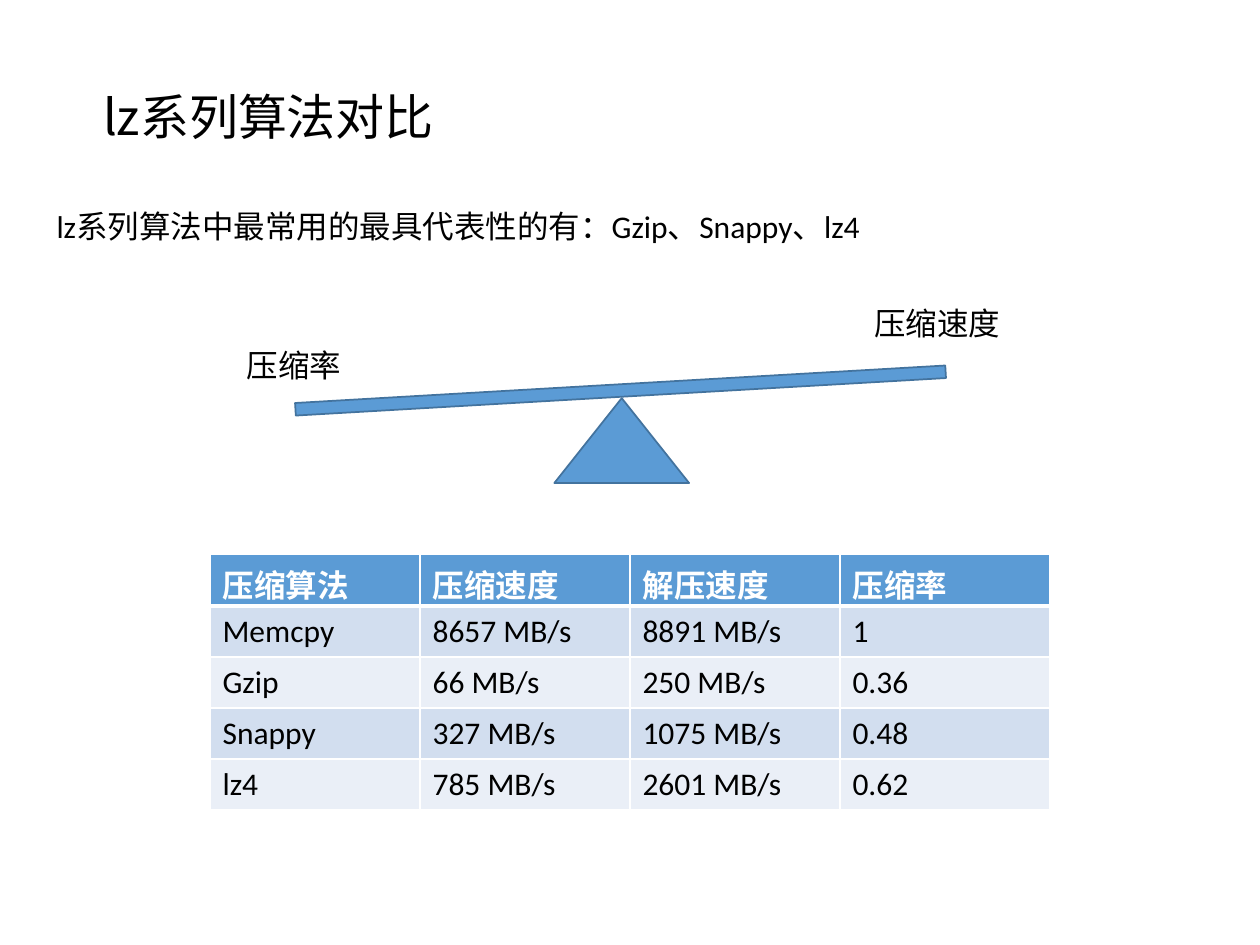
from lxml import etree
from pptx import Presentation
from pptx.dml.color import RGBColor
from pptx.enum import shapes, text
from pptx.oxml import ns
from pptx.util import Pt

COLORS = {"blue": "5B9BD5", "outline": "43739E", "band": "D2DEEF",
          "light": "EAEFF7", "white": "FFFFFF", "black": "000000"}
CJK_FONT = "Noto Sans CJK SC"


def add_span(para, words, size=18, font="Calibri", color="black", bold=False):
    span = para.add_run()
    span.text = words
    span.font.size = Pt(size)
    span.font.name = font
    span.font.bold = bold
    span.font.color.rgb = RGBColor.from_string(COLORS[color])
    latin = span.font._element.find(ns.qn("a:latin"))
    east_asian = etree.Element(ns.qn("a:ea"), typeface=CJK_FONT)
    latin.addnext(east_asian)


def add_border(cell, position, side, width):
    line = etree.Element(ns.qn(f"a:ln{side}"), w=str(Pt(width)))
    fill = etree.SubElement(line, ns.qn("a:solidFill"))
    etree.SubElement(fill, ns.qn("a:srgbClr"), val=COLORS["white"])
    cell._tc.get_or_add_tcPr().insert(position, line)


deck = Presentation()
deck.slide_width, deck.slide_height = Pt(720), Pt(540)
page = deck.slides.add_slide(deck.slide_layouts[6])

labels = [
    ("lz系列算法对比", 51.8, 46.1, 416.2, 41, 28, CJK_FONT),
    ("lz系列算法中最常用的最具代表性的有：Gzip、Snappy、lz4", 25.2, 114.5, 649.4, 29, 18, "Calibri"),
    ("压缩率", 133.9, 194.4, 69.8, 29, 18, "Calibri"),
    ("压缩速度", 492.5, 169.9, 97.2, 29, 18, "Calibri"),
]
for words, left, top, width, height, size, font in labels:
    box = page.shapes.add_textbox(Pt(left), Pt(top), Pt(width), Pt(height))
    box.text_frame.word_wrap = True
    box.text_frame.auto_size = text.MSO_AUTO_SIZE.SHAPE_TO_FIT_TEXT
    add_span(box.text_frame.paragraphs[0], words, size, font)

seesaw = [
    (shapes.MSO_SHAPE.ISOSCELES_TRIANGLE, 316.8, 227.5, 77, 48.5, 0),
    (shapes.MSO_SHAPE.RECTANGLE, 168.5, 219.6, 372.2, 7.2, 356.7),
]
for preset, left, top, width, height, angle in seesaw:
    part = page.shapes.add_shape(preset, Pt(left), Pt(top), Pt(width), Pt(height))
    part.rotation = angle
    part.shadow.inherit = False
    part.fill.solid()
    part.fill.fore_color.rgb = RGBColor.from_string(COLORS["blue"])
    part.line.color.rgb = RGBColor.from_string(COLORS["outline"])
    part.line.width = Pt(1)

rows = [
    ["压缩算法", "压缩速度", "解压速度", "压缩率"],
    ["Memcpy", "8657 MB/s", "8891 MB/s", "1"],
    ["Gzip", "66 MB/s", "250 MB/s", "0.36"],
    ["Snappy", "327 MB/s", "1075 MB/s", "0.48"],
    ["lz4", "785 MB/s", "2601 MB/s", "0.62"],
]
table = page.shapes.add_table(len(rows), len(rows[0]), Pt(120), Pt(317),
                              Pt(480), Pt(146)).table
for row_index, values in enumerate(rows):
    header = row_index == 0
    fill_name = "blue" if header else "band" if row_index % 2 else "light"
    widths = {"L": 1, "R": 1, "T": 3 if row_index == 1 else 1, "B": 3 if header else 1}
    for column_index, value in enumerate(values):
        cell = table.cell(row_index, column_index)
        cell.fill.solid()
        cell.fill.fore_color.rgb = RGBColor.from_string(COLORS[fill_name])
        for position, (side, width) in enumerate(widths.items()):
            add_border(cell, position, side, width)
        add_span(cell.text_frame.paragraphs[0], value,
                 color="white" if header else "black", bold=header)

deck.save("out.pptx")
